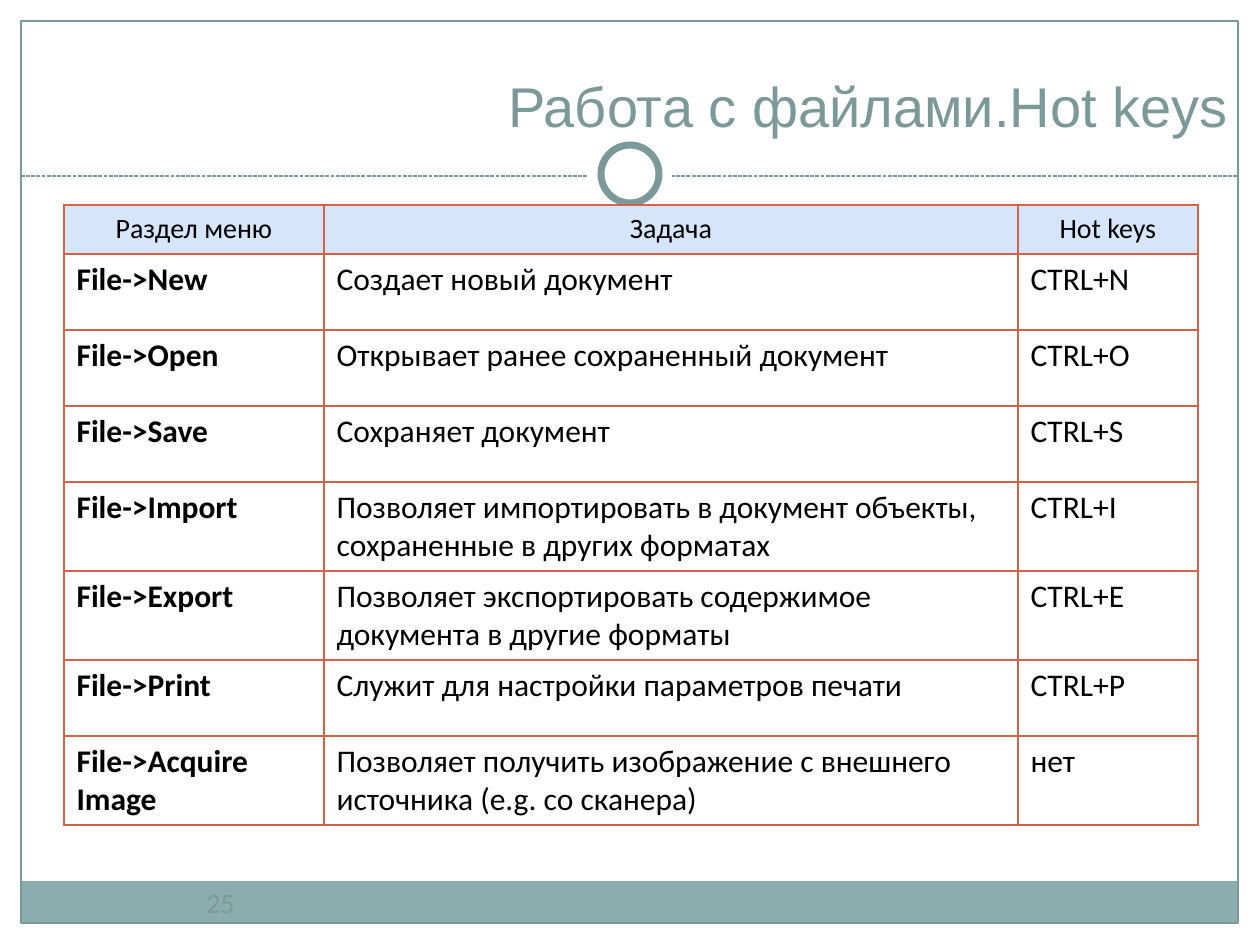
from lxml import etree
from pptx import Presentation
from pptx.dml.color import RGBColor
from pptx.enum.dml import MSO_LINE
from pptx.enum.shapes import MSO_CONNECTOR, MSO_SHAPE
from pptx.enum.text import MSO_ANCHOR, PP_ALIGN
from pptx.oxml.ns import qn
from pptx.util import Pt

RECT, OVAL = MSO_SHAPE.RECTANGLE, MSO_SHAPE.OVAL
STRAIGHT, DASH = MSO_CONNECTOR.STRAIGHT, MSO_LINE.SQUARE_DOT
LEFT, CENTER, RIGHT = PP_ALIGN.LEFT, PP_ALIGN.CENTER, PP_ALIGN.RIGHT
BOTTOM, MIDDLE = MSO_ANCHOR.BOTTOM, MSO_ANCHOR.MIDDLE

TEAL, BAND, WHITE, BLACK = "7C999A", "8CADAE", "FFFFFF", "000000"
HEADER_FILL, BORDER = "D6E5FA", "D16349"

TITLE = "Работа с файлами.Hot keys"
PAGE_NUMBER = "25"
HEADER = ("Раздел меню", "Задача", "Hot keys")
COMMANDS = [
    ("File->New", "Создает новый документ", "CTRL+N"),
    ("File->Open", "Открывает ранее сохраненный документ", "CTRL+O"),
    ("File->Save", "Сохраняет документ", "CTRL+S"),
    ("File->Import", "Позволяет импортировать в документ объекты, сохраненные в других форматах", "CTRL+I"),
    ("File->Export", "Позволяет экспортировать содержимое документа в другие форматы", "CTRL+E"),
    ("File->Print", "Служит для настройки параметров печати", "CTRL+P"),
    ("File->Aсquire Image", "Позволяет получить изображение с внешнего источника (e.g. со сканера)", "нет"),
]
COL_WIDTHS = (260, 694, 180)
ROW_HEIGHTS = (49, 76, 76, 76, 89, 89, 76, 89)


def px(n):
    return n * 914400 // 126


def rgb(color):
    return RGBColor.from_string(color)


def add_shape(kind, box, fill=None, line=None, width=0.75):
    s = slide.shapes.add_shape(kind, *map(px, box))
    s.shadow.inherit = False
    if fill:
        s.fill.solid()
        s.fill.fore_color.rgb = rgb(fill)
    else:
        s.fill.background()
    if line:
        s.line.color.rgb = rgb(line)
        s.line.width = Pt(width)
    else:
        s.line.fill.background()


def add_run(p, text, size, font, color, align=LEFT, bold=False):
    p.alignment = align
    r = p.add_run()
    r.text = text
    r.font.size = Pt(size)
    r.font.name = font
    r.font.bold = bold
    r.font.color.rgb = rgb(color)


def add_text(box, anchor, *run):
    tf = slide.shapes.add_textbox(*map(px, box)).text_frame
    tf.word_wrap = True
    tf.vertical_anchor = anchor
    p = tf.paragraphs[0]
    add_run(p, *run)
    return p


def set_borders(cell):
    tc_pr = cell._tc.get_or_add_tcPr()
    for i, side in enumerate(("lnL", "lnR", "lnT", "lnB")):
        ln = etree.Element(qn(f"a:{side}"), w=str(Pt(1)))
        fill = etree.SubElement(ln, qn("a:solidFill"))
        etree.SubElement(fill, qn("a:srgbClr"), val=BORDER)
        tc_pr.insert(i, ln)


prs = Presentation()
prs.slide_width, prs.slide_height = px(1260), px(945)
slide = prs.slides.add_slide(prs.slide_layouts[6])

add_shape(RECT, (21, 881, 1217, 43), BAND)
add_shape(RECT, (21, 21, 1217, 902), line=TEAL)

divider = slide.shapes.add_connector(STRAIGHT, px(21), px(176), px(1238), px(176))
divider.line.color.rgb = rgb(TEAL)
divider.line.width = Pt(0.75)
divider.line.dash_style = DASH
etree.SubElement(divider._element.spPr, qn("a:effectLst"))

add_shape(OVAL, (588, 132, 84, 84), WHITE)
add_shape(OVAL, (601, 145, 58, 58), WHITE, TEAL, 4)

title = add_text((333, 16, 908, 129), BOTTOM, TITLE, 32, "Arial", TEAL, RIGHT)
title.line_spacing = Pt(39)
add_text((160, 881, 121, 43), MIDDLE, PAGE_NUMBER, 16, "Calibri", TEAL, CENTER)

rows = [HEADER] + COMMANDS
table = slide.shapes.add_table(
    len(rows), len(HEADER), px(64), px(205), px(sum(COL_WIDTHS)), px(sum(ROW_HEIGHTS))
).table
for col, width in zip(table.columns, COL_WIDTHS):
    col.width = px(width)
for i, (values, height) in enumerate(zip(rows, ROW_HEIGHTS)):
    table.rows[i].height = px(height)
    is_header = i == 0
    for j, text in enumerate(values):
        cell = table.cell(i, j)
        if is_header:
            cell.fill.solid()
            cell.fill.fore_color.rgb = rgb(HEADER_FILL)
        else:
            cell.fill.background()
        set_borders(cell)
        add_run(
            cell.text_frame.paragraphs[0], text, 16 if is_header else 18, "Calibri", BLACK,
            CENTER if is_header else LEFT, not is_header and j == 0,
        )

prs.save("out.pptx")
